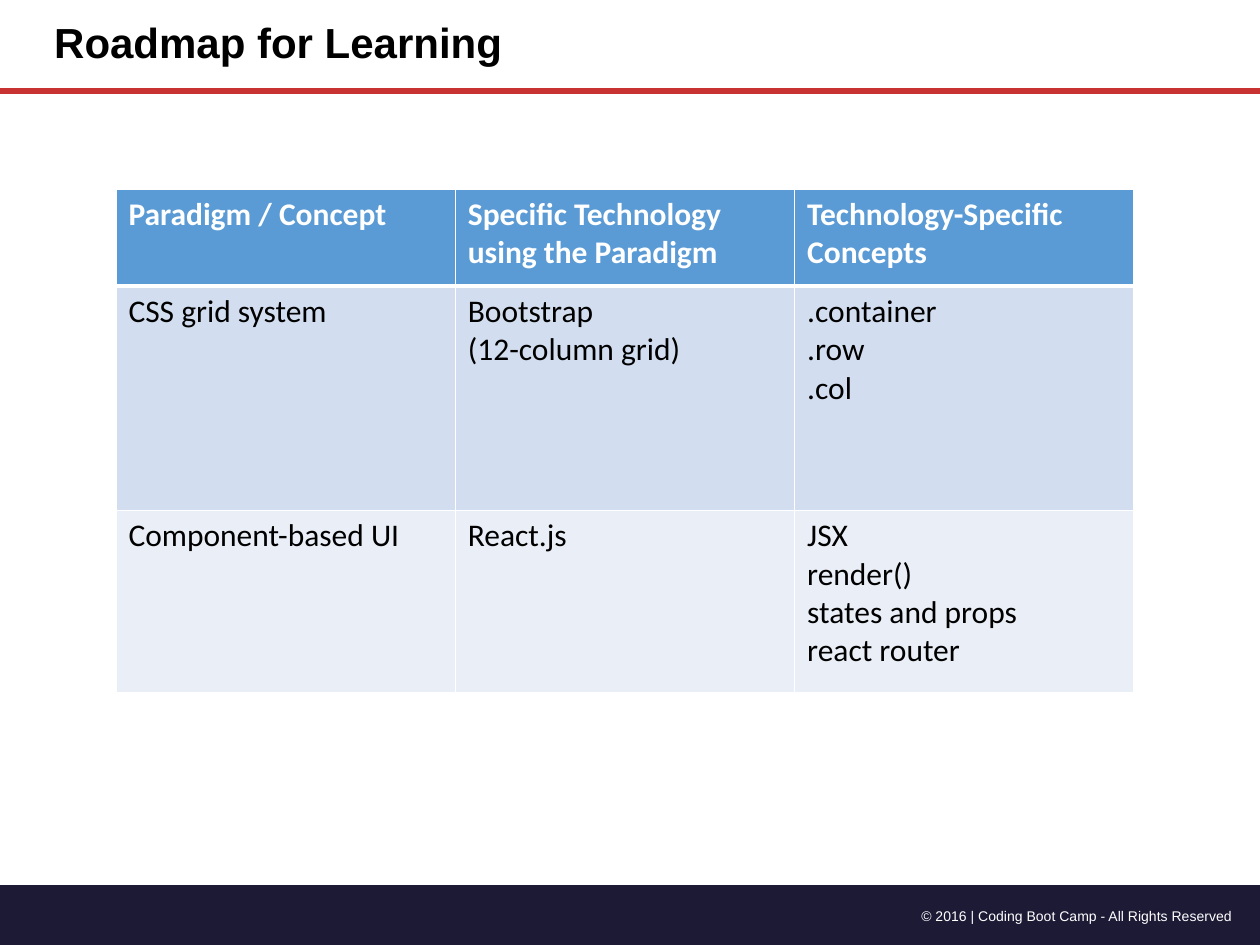
from lxml.etree import SubElement
from pptx import Presentation
from pptx.dml.color import RGBColor
from pptx.enum.shapes import MSO_CONNECTOR as Connector, MSO_SHAPE as Shape
from pptx.enum.text import MSO_ANCHOR as Anchor, MSO_AUTO_SIZE as AutoSize, PP_ALIGN as Align
from pptx.oxml.ns import qn
from pptx.util import Inches, Pt

WIDTH, HEIGHT = 10, 7.5
RULE_Y = 0.72
WHITE, BLACK = "FFFFFF", "000000"
ROW_FILLS = ["5B9BD5", "D2DEEF", "EAEFF7"]
ROW_HEIGHTS = [0.77, 1.78, 1.45]
ROADMAP = [
    ["Paradigm / Concept", "Specific Technology using the Paradigm",
     "Technology-Specific Concepts"],
    ["CSS grid system", "Bootstrap\n(12-column grid)", ".container\n.row\n.col"],
    ["Component-based UI", "React.js",
     "JSX\nrender()\nstates and props\nreact router"],
]


def color(value):
    return RGBColor.from_string(value)


def box(*lengths):
    return [Inches(length) for length in lengths]


def write(frame, text, size, font, ink, bold=False, align=Align.LEFT, spacing=None):
    """Write each line of the text as a paragraph with one run."""
    for index, line in enumerate(text.split("\n")):
        paragraph = frame.add_paragraph() if index else frame.paragraphs[0]
        paragraph.alignment = align
        if spacing:
            paragraph.line_spacing = spacing
        run = paragraph.add_run()
        run.text = line
        run.font.size = Pt(size)
        run.font.name = font
        run.font.bold = bold
        run.font.color.rgb = color(ink)


def add_footer(slide):
    band = slide.shapes.add_shape(Shape.FLOWCHART_PROCESS, *box(0, 7.02, WIDTH, HEIGHT - 7.02))
    band.shadow.inherit = False
    band.fill.solid()
    band.fill.fore_color.rgb = color("1D1A36")
    band.line.fill.background()

    rights = slide.shapes.add_textbox(*box(6.83, 7.15, 3.05, 0.24)).text_frame
    rights.word_wrap = True
    rights.auto_size = AutoSize.SHAPE_TO_FIT_TEXT
    write(rights, "© 2016 | Coding Boot Camp - All Rights Reserved",
          8, "Arial", WHITE, align=Align.RIGHT)


def add_rule(slide):
    rule = slide.shapes.add_connector(Connector.STRAIGHT, *box(0, RULE_Y, WIDTH, RULE_Y))
    rule.line.color.rgb = color("C83232")
    rule.line.width = Pt(3.25)
    SubElement(rule._element.spPr, qn("a:effectLst"))


def set_title(slide, text):
    title = slide.shapes.title
    title.left, title.top, title.width, title.height = box(0.33, 0, 5.98, RULE_Y)
    title.text_frame.vertical_anchor = Anchor.MIDDLE
    write(title.text_frame, text, 24, "Arial", BLACK, bold=True, spacing=0.9)


def set_borders(cell, widths):
    """Draw white borders; widths maps a side (L, R, T, B) to points."""
    properties = cell._tc.get_or_add_tcPr()
    for side, width in widths.items():
        border = SubElement(properties, qn(f"a:ln{side}"), w=str(Pt(width)))
        fill = SubElement(border, qn("a:solidFill"))
        SubElement(fill, qn("a:srgbClr"), val=WHITE)


def add_roadmap(slide):
    columns = len(ROADMAP[0])
    frame = slide.shapes.add_table(len(ROADMAP), columns,
                                   *box(0.92, 1.5, 8.08, sum(ROW_HEIGHTS)))
    table = frame.table
    for r, (texts, height, fill) in enumerate(zip(ROADMAP, ROW_HEIGHTS, ROW_FILLS)):
        table.rows[r].height = Inches(height)
        header = r == 0
        for c, text in enumerate(texts):
            cell = table.cell(r, c)
            # The line under the header is thicker than the rest
            set_borders(cell, {"L": 1, "R": 1, "T": 3 if r == 1 else 1,
                               "B": 3 if header else 1})
            cell.fill.solid()
            cell.fill.fore_color.rgb = color(fill)
            write(cell.text_frame, text, 18, "Calibri",
                  WHITE if header else BLACK, bold=header)


def main():
    deck = Presentation()
    deck.slide_width, deck.slide_height = box(WIDTH, HEIGHT)
    slide = deck.slides.add_slide(deck.slide_layouts[5])  # Title Only
    add_footer(slide)
    add_rule(slide)
    set_title(slide, "Roadmap for Learning")
    add_roadmap(slide)
    deck.save("out.pptx")


if __name__ == "__main__":
    main()
